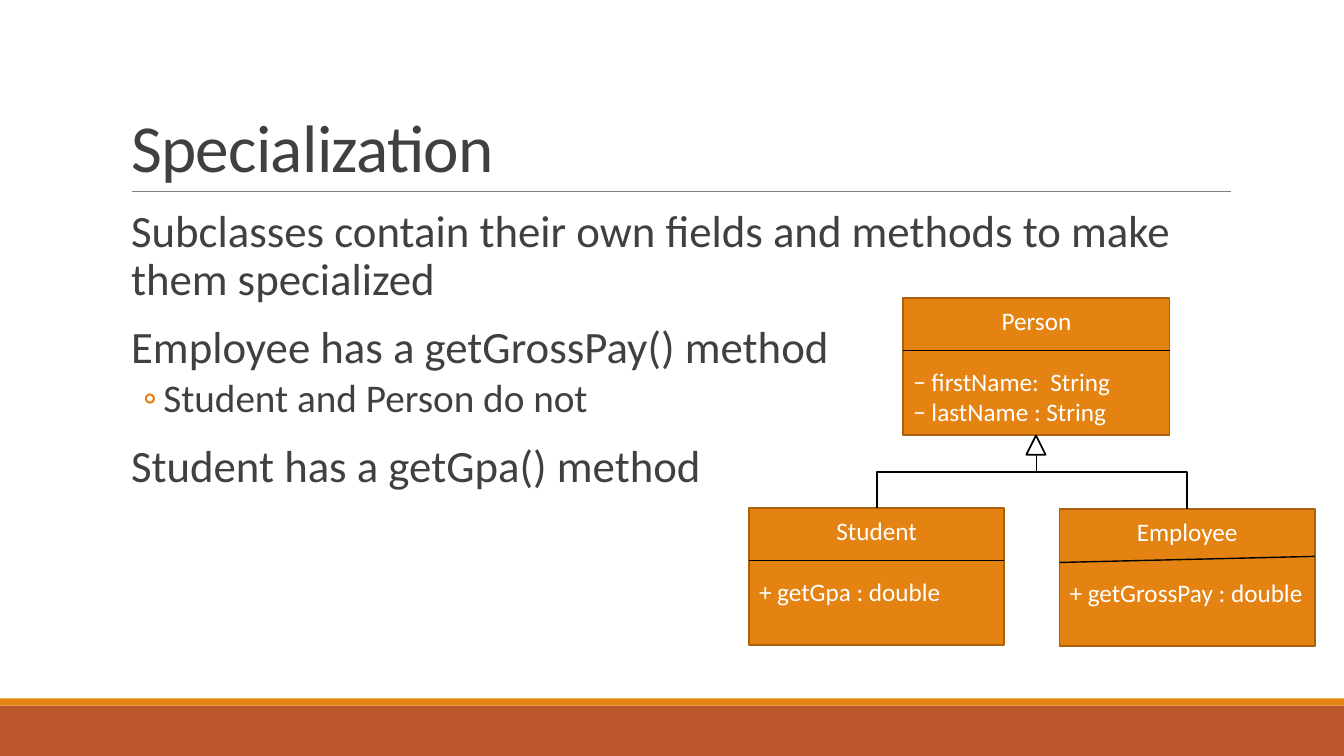
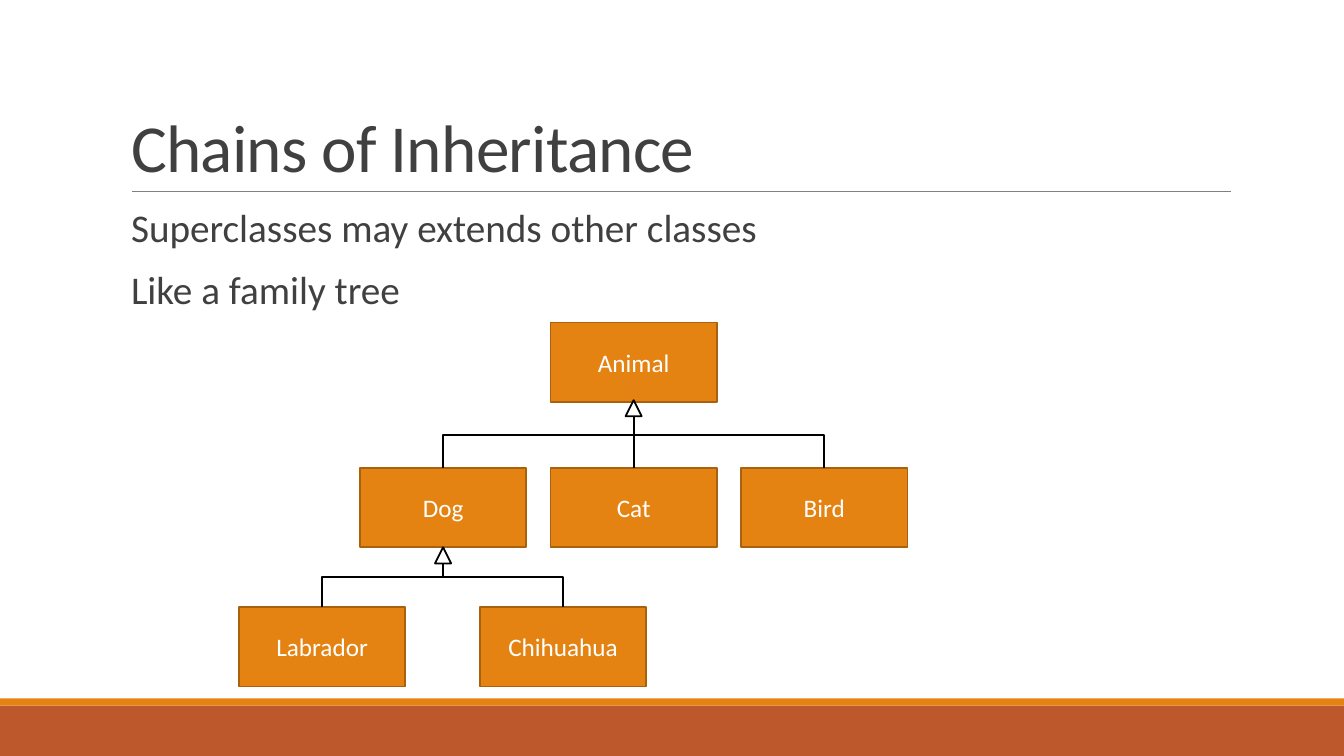
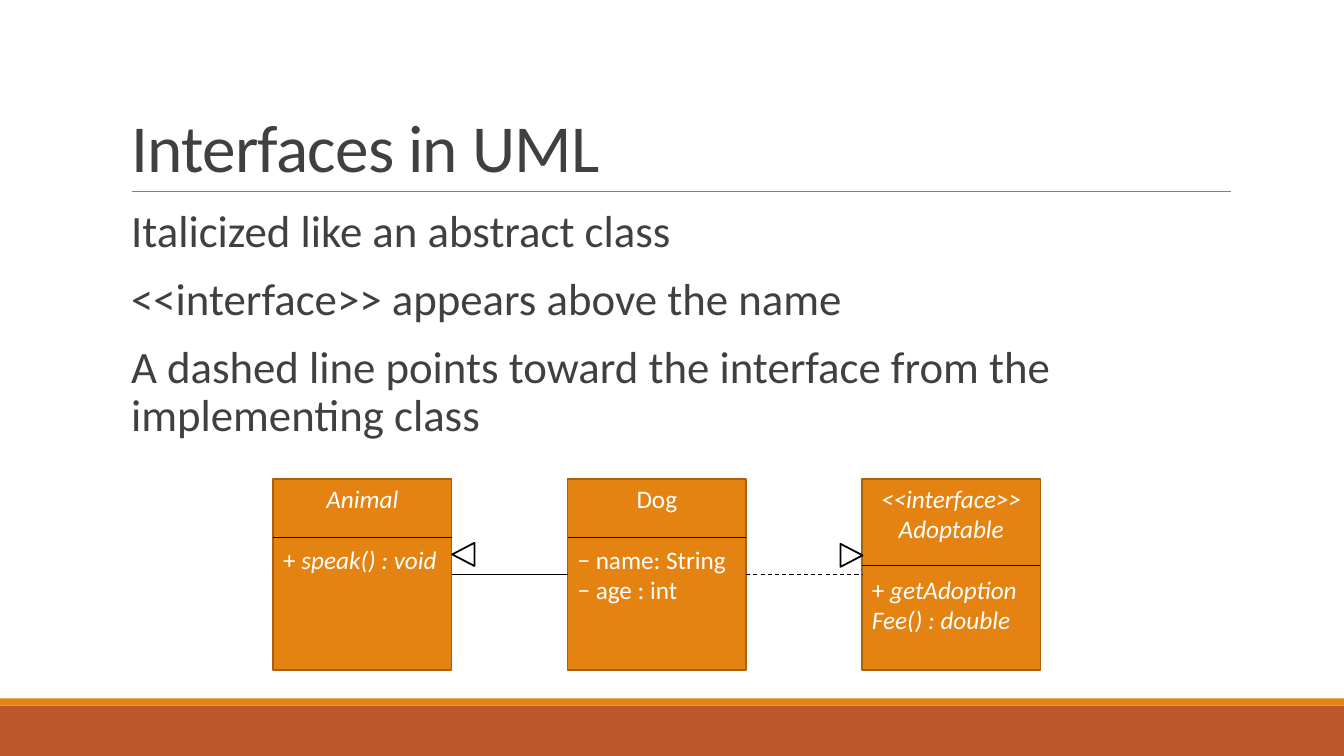
from dataclasses import dataclass

from lxml.etree import SubElement
from pptx import Presentation
from pptx.dml.color import RGBColor
from pptx.enum.dml import MSO_LINE_DASH_STYLE as Dash
from pptx.enum.shapes import MSO_CONNECTOR as Link, MSO_SHAPE as Preset
from pptx.enum.text import MSO_ANCHOR as Anchor, MSO_AUTO_SIZE as AutoSize, PP_ALIGN as Align
from pptx.oxml.ns import qn
from pptx.util import Inches, Pt


@dataclass(frozen=True)
class Theme:
    font: str = "Calibri"
    text: str = "404040"
    accent: str = "E48312"
    edge: str = "A9610D"
    band: str = "BD582C"
    rule: str = "808080"
    ink: str = "000000"
    paper: str = "FFFFFF"
    title_size: int = 48
    large: int = 32
    medium: int = 28
    label: int = 18
    label_line: int = 22
    outline: float = 1.25


THEME = Theme()

# Each body line: level, text
SPECIALIZATION = [
    (0, "Subclasses contain their own fields and methods to make them specialized"),
    (0, "Employee has a getGrossPay() method"),
    (1, "Student and Person do not"),
    (0, "Student has a getGpa() method"),
]
CHAINS = [(0, "Superclasses may extends other classes"), (0, "Like a family tree")]
INTERFACES = [
    (0, "Italicized like an abstract class"),
    (0, "<<interface>> appears above the name"),
    (0, "A dashed line points toward the interface from the implementing class"),
]

# Each class: position, heading lines, members, divider offsets at left and right
PERSON = ((8.96, 2.96, 2.64, 1.36), ["Person"],
          ["− firstName:  String", "− lastName : String"], (0.52, 0.52))
PERSON_SUBCLASSES = [
    ((7.43, 5.04, 2.53, 1.36), ["Student"], ["+ getGpa : double"], (0.52, 0.52)),
    ((10.51, 5.05, 2.53, 1.36), ["Employee"], ["+ getGrossPay : double"], (0.53, 0.47)),
]

ANIMAL_SIZE = (1.65, 0.79)
ANIMALS = {
    "Animal": (5.46, 3.2),
    "Dog": (3.57, 4.64),
    "Cat": (5.46, 4.64),
    "Bird": (7.35, 4.64),
    "Labrador": (2.37, 6.02),
    "Chihuahua": (4.76, 6.02),
}
# Parent, children, overlap of the arrowhead with the parent
FAMILIES = [
    ("Animal", ["Dog", "Cat", "Bird"], 0.02),
    ("Dog", ["Labrador", "Chihuahua"], 0),
]

# Heading lines, members, divider offset, abstract
UML_CLASSES = [
    (["Animal"], ["+ speak() : void"], 0.58, True),
    (["Dog"], ["− name: String", "− age : int"], 0.58, False),
    (["<<interface>>", "Adoptable"], ["+ getAdoption\nFee() : double"], 0.86, True),
]
UML_LEFT, UML_TOP, UML_WIDTH, UML_HEIGHT, UML_PITCH = 2.71, 4.75, 1.77, 1.9, 2.92


def rgb(value):
    return RGBColor.from_string(value)


def style(span, size, color, italic=False):
    span.font.name = THEME.font
    span.font.size = Pt(size)
    span.font.color.rgb = rgb(color)
    span.font.italic = italic


def add_preset(page, preset, at, fill, edge=None):
    shape = page.shapes.add_shape(preset, *map(Inches, at))
    shape.shadow.inherit = False
    shape.fill.solid()
    shape.fill.fore_color.rgb = rgb(fill)
    if edge:
        shape.line.color.rgb = rgb(edge)
        shape.line.width = Pt(THEME.outline)
    else:
        shape.line.fill.background()
    return shape


def add_line(page, start, end, width=THEME.outline, color=THEME.ink, kind=Link.STRAIGHT):
    line = page.shapes.add_connector(kind, *map(Inches, (*start, *end)))
    line.line.color.rgb = rgb(color)
    line.line.width = Pt(width)
    SubElement(line.element.spPr, qn("a:effectLst"))
    return line


def add_branch(page, child, parent):
    """Link the child's top to the parent's bottom, leaving both vertically."""
    (x1, y1), (x2, y2) = child, parent
    if abs(x1 - x2) < 0.01:
        add_line(page, child, parent)
        return
    # The elbow is drawn lying down around the same centre, then turned upright.
    mid_x, mid_y = (x1 + x2) / 2, (y1 + y2) / 2
    half_w, half_h = abs(y1 - y2) / 2, abs(x1 - x2) / 2
    side, angle = (1, 90) if x1 < x2 else (-1, 270)
    elbow = add_line(page, (mid_x + side * half_w, mid_y + half_h),
                     (mid_x - side * half_w, mid_y - half_h), kind=Link.ELBOW)
    elbow.element.spPr.find(qn("a:xfrm")).set("rot", str(angle * 60000))


def add_arrowhead(page, at, rotation=0):
    head = add_preset(page, Preset.ISOSCELES_TRIANGLE, at, THEME.paper, THEME.ink)
    head.rotation = rotation


def top_center(at):
    return at[0] + at[2] / 2, at[1]


def bottom_center(at):
    return at[0] + at[2] / 2, at[1] + at[3]


def add_class(page, at, heading, members=(), divider=None, abstract=False, inset=0.07):
    box = add_preset(page, Preset.RECTANGLE, at, THEME.accent, THEME.edge)
    frame = box.text_frame
    frame.word_wrap = True
    frame.vertical_anchor = Anchor.TOP if members else Anchor.MIDDLE
    if members:
        frame.margin_top = Inches(inset)
    for index, line in enumerate([*heading, *members]):
        para = frame.add_paragraph() if index else frame.paragraphs[0]
        is_member = index >= len(heading)
        para.alignment = Align.LEFT if is_member else Align.CENTER
        if index == len(heading):
            para.space_before = Pt(THEME.label_line)
        para.text = line[:2] if is_member else line
        style(para.runs[0], THEME.label, THEME.paper, abstract and not is_member)
        if is_member:
            for part_index, part in enumerate(line[2:].split("\n")):
                if part_index:
                    para.add_line_break()
                span = para.add_run()
                span.text = part
                style(span, THEME.label, THEME.paper, abstract)
    if divider:
        left, top, width, _ = at
        add_line(page, (left, top + divider[0]), (left + width, top + divider[1]), 1)


def set_bullet(para, level):
    margin, hanging, symbol = [(0.1, 0.1, " "), (0.42, 0.2, "◦")][level]
    props = para._p.get_or_add_pPr()
    props.set("marL", str(Inches(margin)))
    props.set("indent", str(-Inches(hanging)))
    SubElement(SubElement(props, qn("a:buClr")), qn("a:srgbClr"), val=THEME.accent)
    SubElement(props, qn("a:buFont"), typeface=THEME.font)
    SubElement(props, qn("a:buChar"), char=symbol)


def add_body(page, lines, size):
    frame = page.shapes.add_textbox(*map(Inches, (1.2, 2.02, 11, 4.4))).text_frame
    frame.word_wrap = True
    frame.margin_left = frame.margin_right = 0
    for index, (level, text) in enumerate(lines):
        para = frame.add_paragraph() if index else frame.paragraphs[0]
        set_bullet(para, level)
        para.text = text
        para.line_spacing = 0.9
        if index:
            para.space_before = Pt(2 if level else 12)
        para.space_after = Pt(4 if level else 2)
        style(para.runs[0], THEME.medium if level else size, THEME.text)


def add_page(deck, title, lines, size):
    page = deck.slides.add_slide(deck.slide_layouts[5])
    box = page.shapes.title
    box.left, box.top, box.width, box.height = map(Inches, (1.2, 0.31, 11, 1.59))
    frame = box.text_frame
    frame.text = title
    frame.auto_size = AutoSize.NONE
    frame.vertical_anchor = Anchor.BOTTOM
    para = frame.paragraphs[0]
    para.alignment = Align.LEFT
    para.line_spacing = 0.85
    span = para.runs[0]
    style(span, THEME.title_size, THEME.text)
    span._r.get_or_add_rPr().set("spc", "-50")
    add_body(page, lines, size)
    return page


def dress_layout(deck):
    """Move the bands and the title rule, drawn once, to the title-only layout."""
    layout = deck.slide_layouts[5]
    for holder in list(layout.placeholders):
        if holder.placeholder_format.idx:
            holder.element.getparent().remove(holder.element)
    page = deck.slides[0]
    parts = [
        add_preset(page, Preset.RECTANGLE, (0, 7, 13.33, 0.5), THEME.band),
        add_preset(page, Preset.RECTANGLE, (0, 6.93, 13.33, 0.07), THEME.accent),
        add_line(page, (1.31, 1.9), (12.21, 1.9), 0.5, THEME.rule),
    ]
    for part in parts:
        layout.shapes.element.append(part.element)


def build_specialization(deck):
    page = add_page(deck, "Specialization", SPECIALIZATION, THEME.large)
    for item in [PERSON, *PERSON_SUBCLASSES]:
        add_class(page, *item)
    x, y = bottom_center(PERSON[0])
    for subclass in PERSON_SUBCLASSES:
        add_branch(page, top_center(subclass[0]), (x, y))
    add_arrowhead(page, (x - 0.1, y, 0.19, 0.19))


def build_chains(deck):
    page = add_page(deck, "Chains of Inheritance", CHAINS, THEME.medium)
    places = {name: (*corner, *ANIMAL_SIZE) for name, corner in ANIMALS.items()}
    for name, at in places.items():
        add_class(page, at, [name])
    for parent, children, overlap in FAMILIES:
        x, y = bottom_center(places[parent])
        for child in children:
            add_branch(page, top_center(places[child]), (x, y))
        add_arrowhead(page, (x - 0.08, y - overlap, 0.16, 0.16))


def build_interfaces(deck):
    page = add_page(deck, "Interfaces in UML", INTERFACES, THEME.large)
    lefts = [UML_LEFT + UML_PITCH * column for column in range(len(UML_CLASSES))]
    for left, (heading, members, divider, abstract) in zip(lefts, UML_CLASSES):
        add_class(page, (left, UML_TOP, UML_WIDTH, UML_HEIGHT), heading, members,
                  (divider, divider), abstract, inset=0.04)
    animal, dog, adoptable = lefts
    link_y = UML_TOP + UML_HEIGHT / 2
    add_line(page, (dog, link_y), (animal + UML_WIDTH, link_y))
    dashed = add_line(page, (dog + UML_WIDTH, link_y), (adoptable, link_y), 0.75)
    dashed.line.dash_style = Dash.DASH
    add_arrowhead(page, (adoptable - 0.22, 5.4, 0.23, 0.22), 90)
    add_arrowhead(page, (animal + UML_WIDTH, 5.39, 0.23, 0.22), 270)


def main():
    deck = Presentation()
    deck.slide_width, deck.slide_height = Inches(13.33), Inches(7.5)
    build_specialization(deck)
    build_chains(deck)
    build_interfaces(deck)
    dress_layout(deck)
    deck.save("out.pptx")


if __name__ == "__main__":
    main()
